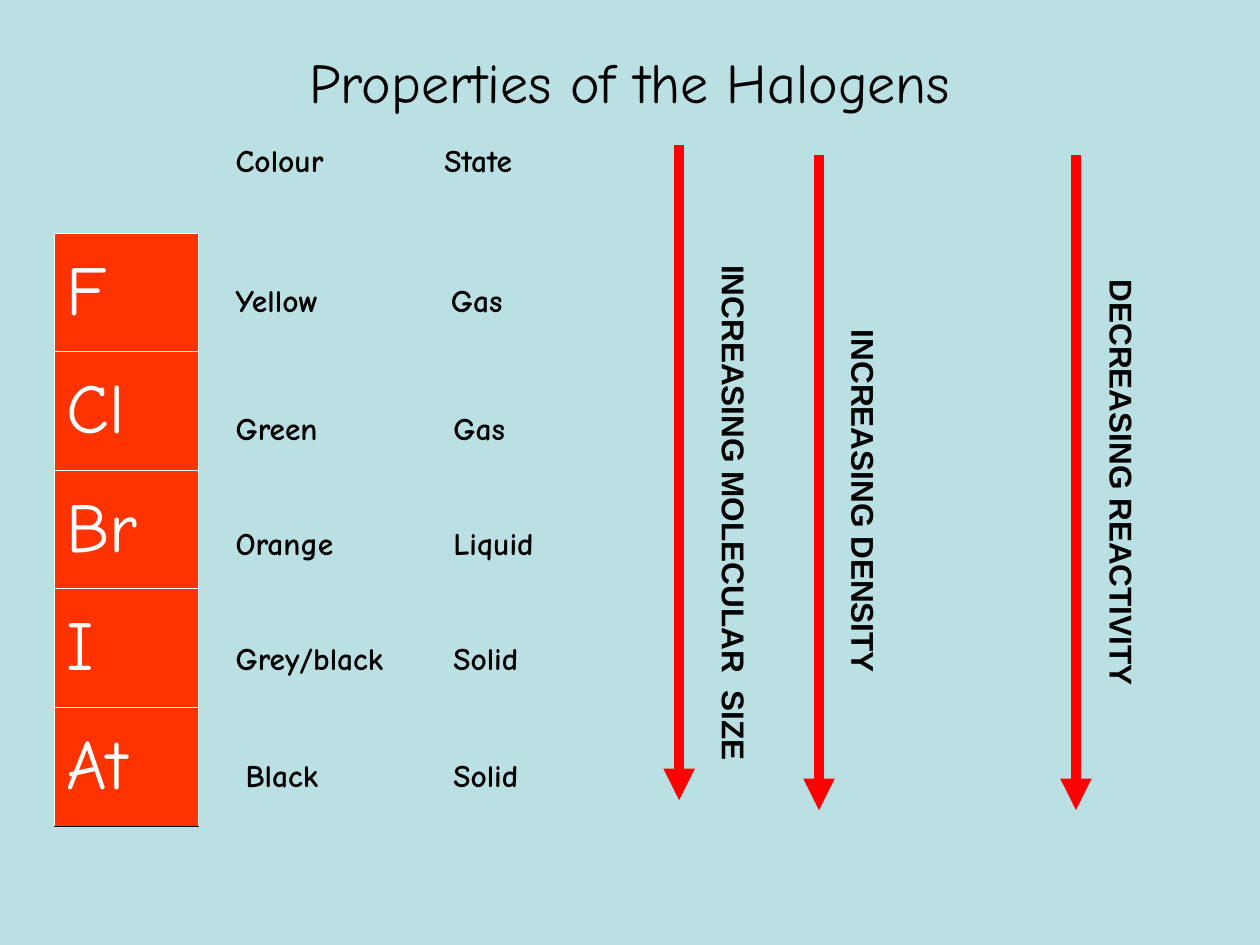
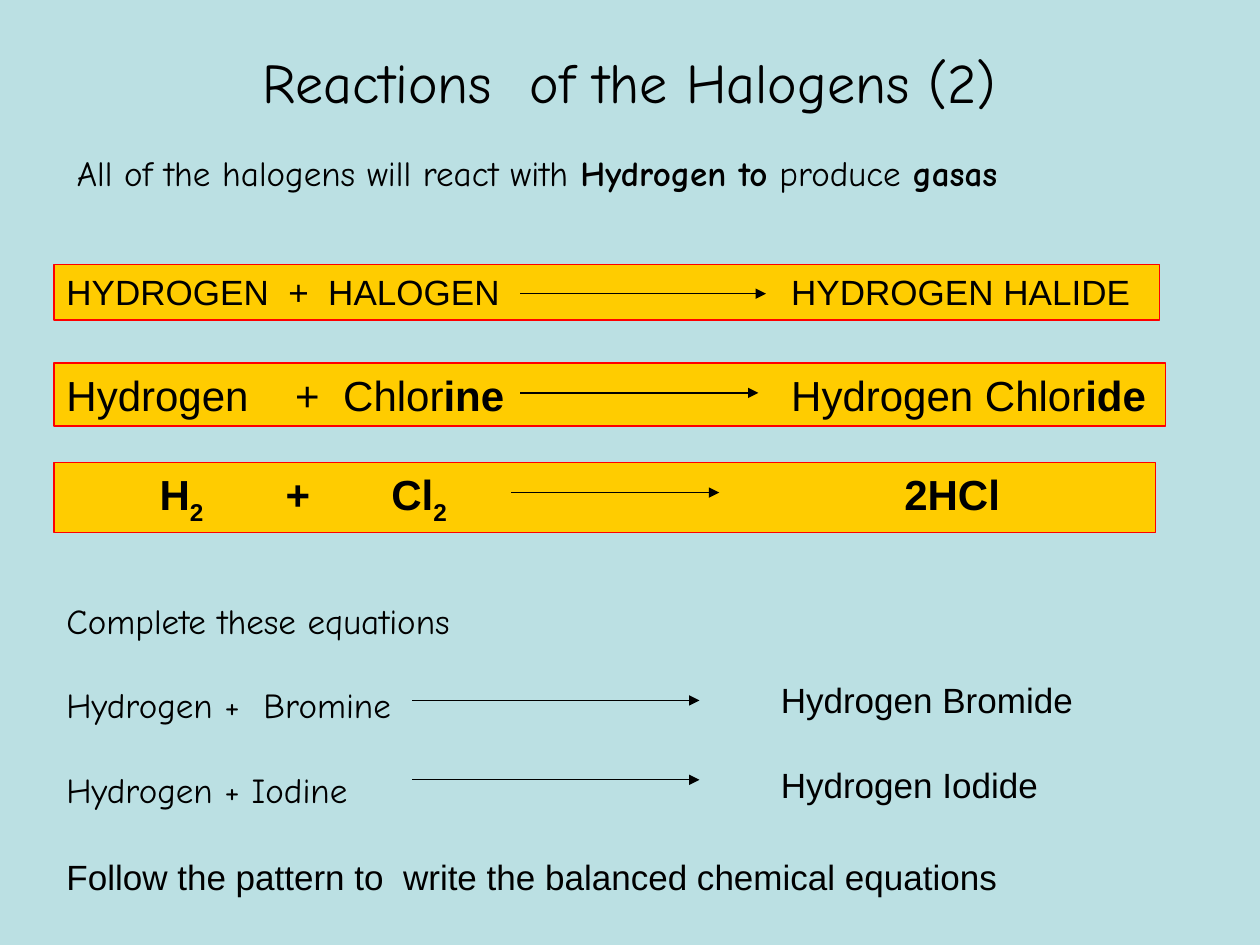
from dataclasses import dataclass

from lxml.etree import SubElement
from pptx import Presentation
from pptx.dml.color import RGBColor
from pptx.enum.shapes import MSO_CONNECTOR, MSO_SHAPE
from pptx.enum.text import MSO_ANCHOR, MSO_AUTO_SIZE, PP_ALIGN
from pptx.oxml.ns import qn
from pptx.util import Cm, Pt


@dataclass(frozen=True)
class Theme:
    background: RGBColor = RGBColor(0xBB, 0xE0, 0xE3)
    ink: RGBColor = RGBColor(0, 0, 0)
    white: RGBColor = RGBColor(0xFF, 0xFF, 0xFF)
    red: RGBColor = RGBColor(0xFF, 0, 0)
    element_fill: RGBColor = RGBColor(0xFF, 0x33, 0)
    equation_fill: RGBColor = RGBColor(0xFF, 0xCC, 0)
    hand_font: str = "Comic Neue"
    plain_font: str = "Arial"
    title_size: Pt = Pt(32)
    element_size: Pt = Pt(40)
    label_size: Pt = Pt(18)
    body_size: Pt = Pt(20)
    equation_size: Pt = Pt(24)
    thin_line: Pt = Pt(0.75)
    rule_line: Pt = Pt(0.45)
    trend_line: Pt = Pt(6)


THEME = Theme()
BOLD = {"bold": True}
HAND = {"name": THEME.hand_font, "size": THEME.body_size}
PLAIN = {"name": THEME.plain_font, "size": THEME.body_size}
EQUATION = {"name": THEME.plain_font, "size": THEME.equation_size}
PROPERTY = {"name": THEME.hand_font, "size": THEME.label_size, "bold": True}
TREND = {"name": THEME.plain_font, "size": THEME.label_size, "bold": True}


def apply(target, formats):
    for attribute, value in formats.items():
        setattr(target, attribute, value)


class Deck:
    def __init__(self, theme):
        self.theme = theme
        self.presentation = Presentation()
        apply(self.presentation, {"slide_width": Cm(25.4), "slide_height": Cm(19.05)})
        fill = self.presentation.slide_master.background.fill
        fill.solid()
        fill.fore_color.rgb = theme.background
        self.slide = None

    def start_slide(self, title):
        layout = self.presentation.slide_layouts.get_by_name("Title Only")
        self.slide = self.presentation.slides.add_slide(layout)
        shape = self.slide.shapes.title
        apply(shape, {"left": Cm(1.27), "top": Cm(0.76), "width": Cm(22.86), "height": Cm(1.75)})
        apply(shape.text_frame, {"auto_size": MSO_AUTO_SIZE.NONE,
                                 "vertical_anchor": MSO_ANCHOR.MIDDLE})
        self.fill_text(shape.text_frame, [title],
                       {"name": self.theme.hand_font, "size": self.theme.title_size},
                       {"alignment": PP_ALIGN.CENTER})

    def fill_text(self, frame, lines, font, layout=None, tabs=(), color=None):
        for index, line in enumerate(lines):
            paragraph = frame.add_paragraph() if index else frame.paragraphs[0]
            apply(paragraph, layout or {})
            if tabs:
                tab_list = SubElement(paragraph._p.get_or_add_pPr(), qn("a:tabLst"))
                for position in tabs:
                    SubElement(tab_list, qn("a:tab"), pos=str(Cm(position)), algn="l")
            pieces = [(line, {})] if isinstance(line, str) else line
            for text, changes in pieces:
                run = paragraph.add_run()
                run.text = text
                formats = {**font, **changes}
                if formats.pop("subscript", False):
                    run._r.get_or_add_rPr().set("baseline", "-25000")
                apply(run.font, formats)
                run.font.color.rgb = color or self.theme.ink

    def text(self, left, top, width, height, lines, font, layout=None, rotation=0):
        shape = self.slide.shapes.add_textbox(Cm(left), Cm(top), Cm(width), Cm(height))
        shape.rotation = rotation
        shape.text_frame.word_wrap = True
        self.fill_text(shape.text_frame, lines, font, layout)

    def arrow(self, start, end, color, width):
        connector = self.slide.shapes.add_connector(
            MSO_CONNECTOR.STRAIGHT, *(Cm(length) for length in (*start, *end)))
        connector.line.color.rgb = color
        connector.line.width = width
        properties = connector._element.spPr
        SubElement(properties.find(qn("a:ln")), qn("a:tailEnd"), type="triangle")
        SubElement(properties, qn("a:effectLst"))

    def trend(self, x, top, label_x, label_y, label):
        length, width, height = 13.21, 10.8, 1.02
        self.arrow((x, top), (x, top + length), self.theme.red, self.theme.trend_line)
        self.text(label_x - width / 2, label_y - height / 2, width, height, [label], TREND,
                  {"alignment": PP_ALIGN.CENTER}, rotation=90)

    def equation_bar(self, top, width, height, pieces, font, tabs, arrow_from, arrow_to, arrow_y):
        shape = self.slide.shapes.add_shape(
            MSO_SHAPE.RECTANGLE, Cm(1.09), Cm(top), Cm(width), Cm(height))
        shape.shadow.inherit = False
        shape.fill.solid()
        shape.fill.fore_color.rgb = self.theme.equation_fill
        shape.line.color.rgb = self.theme.red
        shape.line.width = self.theme.thin_line
        apply(shape.text_frame, {"word_wrap": True, "vertical_anchor": MSO_ANCHOR.TOP})
        self.fill_text(shape.text_frame, [pieces], font, {"alignment": PP_ALIGN.LEFT}, tabs)
        self.reaction_arrow(arrow_from, arrow_to, arrow_y)

    def reaction_arrow(self, start, end, y):
        self.arrow((start, y), (end, y), self.theme.ink, self.theme.thin_line)

    def element_table(self, left, top, width, row_height, symbols):
        frame = self.slide.shapes.add_table(
            len(symbols), 1, Cm(left), Cm(top), Cm(width), Cm(row_height * len(symbols)))
        table = frame.table
        apply(table, {"first_row": False, "horz_banding": False})
        for index, symbol in enumerate(symbols):
            cell = table.cell(index, 0)
            cell.vertical_anchor = MSO_ANCHOR.MIDDLE
            is_last = index == len(symbols) - 1
            for side in "LRTB":
                closing = is_last and side == "B"
                self.border(cell, side,
                            self.theme.ink if closing else self.theme.white,
                            self.theme.rule_line if closing else self.theme.thin_line)
            cell.fill.solid()
            cell.fill.fore_color.rgb = self.theme.element_fill
            self.fill_text(cell.text_frame, [symbol],
                           {"name": self.theme.hand_font, "size": self.theme.element_size},
                           color=self.theme.white)

    def border(self, cell, side, color, width):
        properties = cell._tc.get_or_add_tcPr()
        line = SubElement(properties, qn(f"a:ln{side}"), w=str(int(width)))
        fill = SubElement(line, qn("a:solidFill"))
        SubElement(fill, qn("a:srgbClr"), val=str(color))


def build_properties(deck):
    deck.start_slide("Properties of the Halogens")
    deck.element_table(1.09, 4.7, 2.92, 2.39, ["F", "Cl", "Br", "I", "At"])

    for left, top, label in (
        (4.5, 2.72, "Colour"), (8.71, 2.72, "State"),
        (4.5, 5.54, "Yellow"), (8.84, 5.54, "Gas"),
        (4.7, 15.11, "Black"), (8.89, 15.11, "Solid"),
    ):
        deck.text(left, top, 2.67, 1.02, [label], PROPERTY)
    for left, width, values in (
        (4.5, 4.39, ["Green", "Orange", "Grey/black"]),
        (8.89, 3.81, ["Gas", "Liquid", "Solid"]),
    ):
        deck.text(left, 8.13, width, 5.66, values, PROPERTY, {"space_before": Pt(44)})

    for trend in (
        (13.69, 2.92, 14.8, 10.34, "INCREASING MOLECULAR  SIZE"),
        (16.51, 3.12, 17.41, 10.11, "INCREASING DENSITY"),
        (21.69, 3.12, 22.62, 9.73, "DECREASING REACTIVITY"),
    ):
        deck.trend(*trend)


def build_reactions(deck):
    deck.start_slide("Reactions  of the Halogens (2)")
    deck.text(1.3, 2.92, 22.81, 1.12, [[
        ("All of the halogens will react with ", {}), ("Hydrogen to", BOLD),
        (" produce ", {}), ("gasas", BOLD),
    ]], HAND)

    product_tab = 14.61
    subscript = {"subscript": True}
    deck.equation_bar(5.33, 22.28, 1.12,
                      [("HYDROGEN  +  HALOGEN\tHYDROGEN HALIDE", {})],
                      PLAIN, [product_tab], 10.49, 15.44, 5.92)
    deck.equation_bar(7.32, 22.4, 1.27,
                      [("Hydrogen\t+\tChlor", {}), ("ine", BOLD),
                       ("\tHydrogen Chlor", {}), ("ide", BOLD)],
                      EQUATION, [4.61, 5.58, product_tab], 10.49, 15.29, 7.92)
    deck.equation_bar(9.32, 22.2, 1.42,
                      [("\tH", {}), ("2", subscript), ("\t+\tCl", {}),
                       ("2", subscript), ("\t2HCl", {})],
                      {**EQUATION, **BOLD}, [1.88, 4.42, 6.55, 16.89], 10.31, 14.5, 9.93)

    exercise = {"line_spacing": 1.5, "space_before": Pt(12.5)}
    deck.text(1.09, 11.53, 15.39, 4.95,
              ["Complete these equations", "Hydrogen +  Bromine", "Hydrogen + Iodine"],
              HAND, exercise)
    for y in (14.12, 15.72):
        deck.reaction_arrow(8.31, 14.1, y)
    deck.text(15.49, 13.13, 7.01, 3.25, ["Hydrogen Bromide", "Hydrogen Iodide"], PLAIN, exercise)
    deck.text(1.09, 17.12, 23.39, 1.12,
              ["Follow the pattern to  write the balanced chemical equations"], PLAIN)


def main():
    deck = Deck(THEME)
    build_properties(deck)
    build_reactions(deck)
    deck.presentation.save("out.pptx")


if __name__ == "__main__":
    main()
